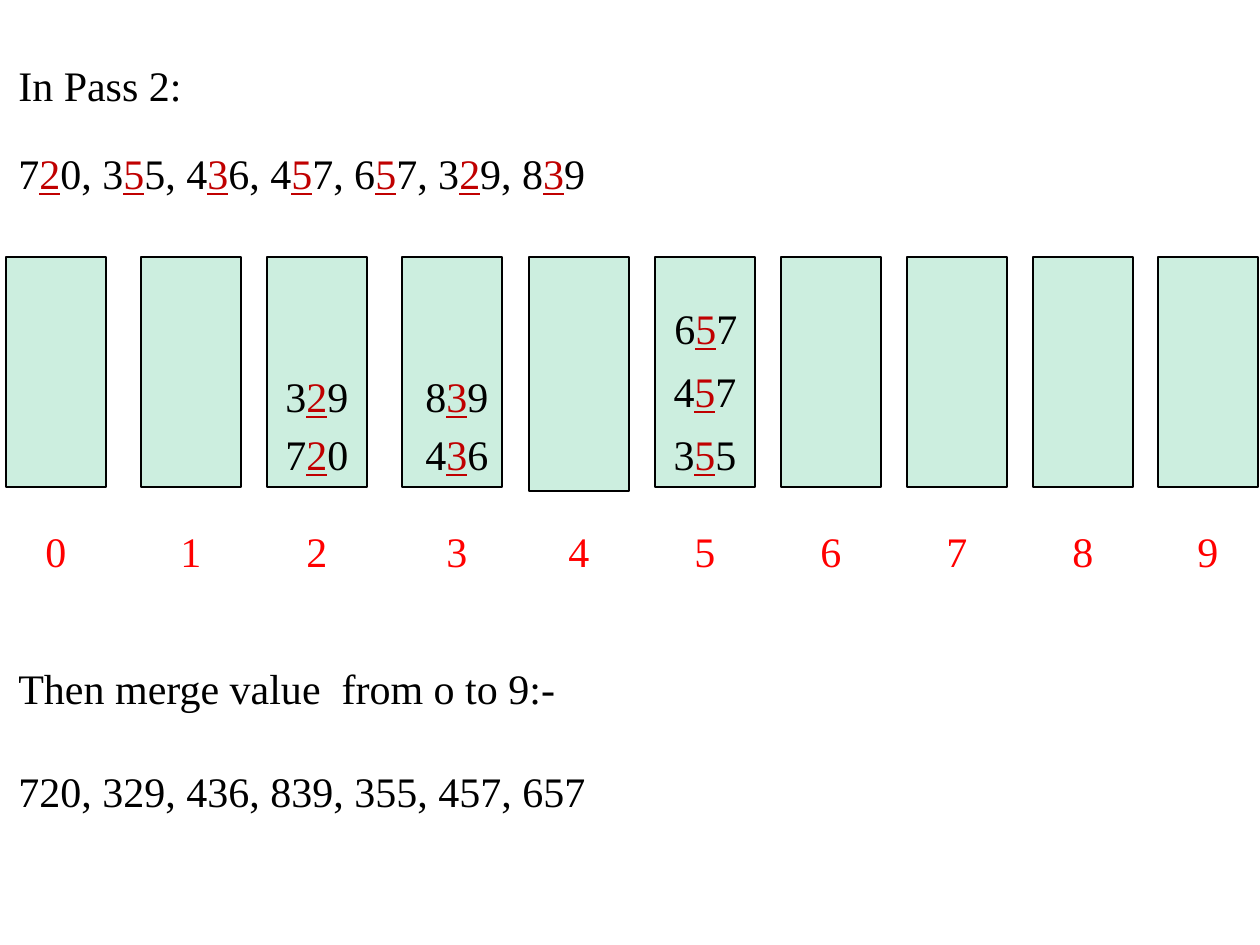
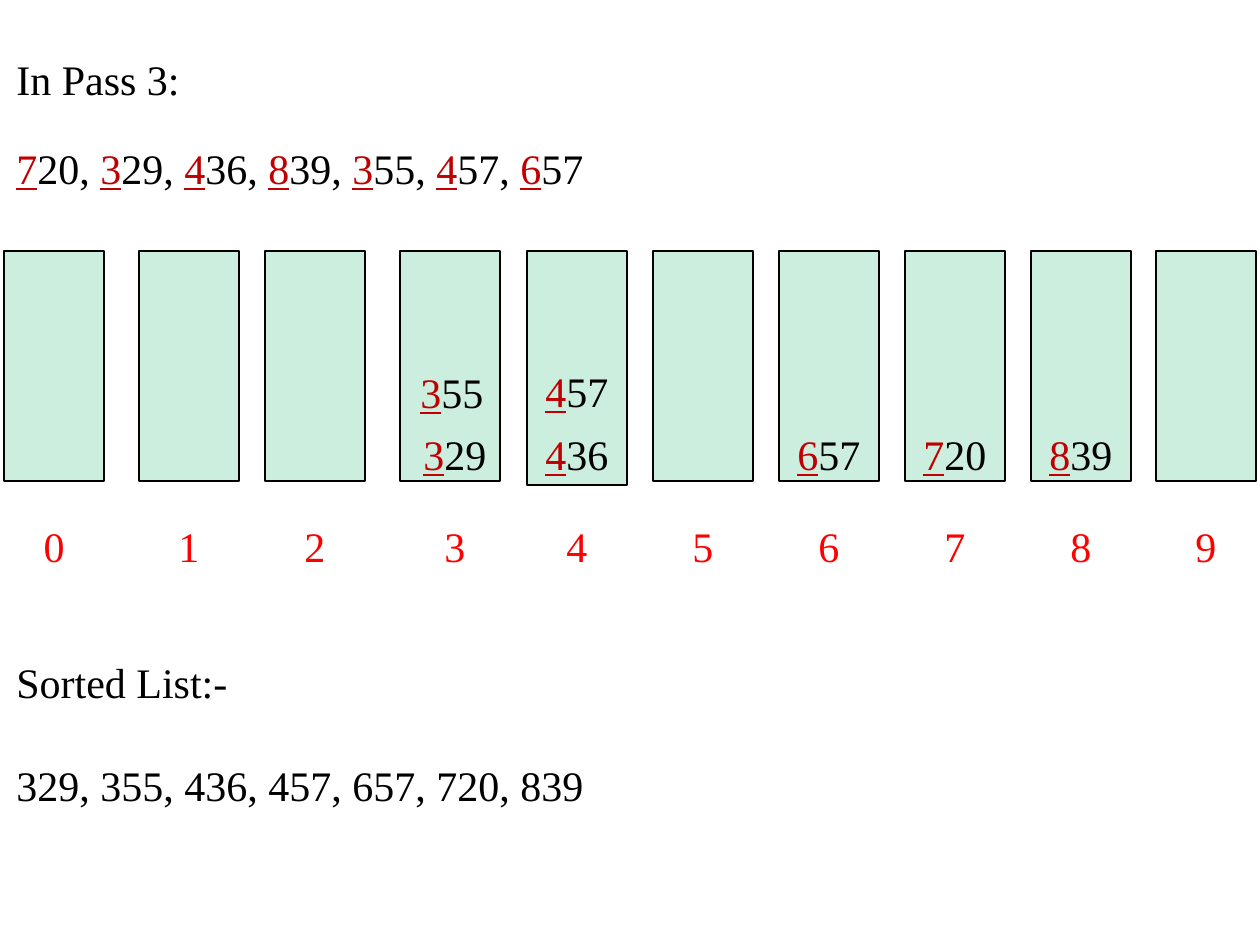
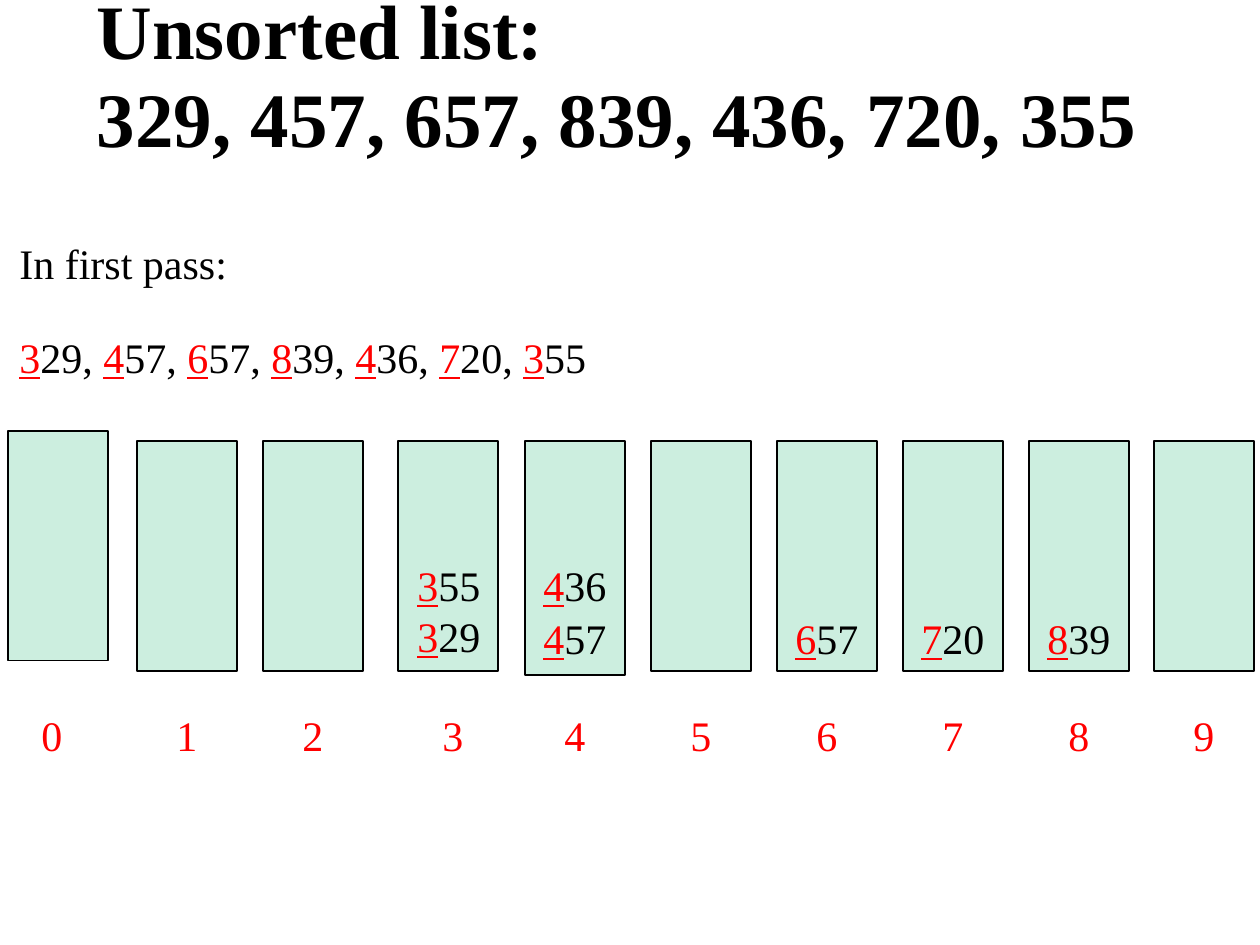
from itertools import groupby
from pptx import Presentation
from pptx.dml.color import RGBColor
from pptx.enum.shapes import MSO_SHAPE as Shape
from pptx.enum.text import MSO_ANCHOR as Anchor, MSO_AUTO_SIZE as Fit, PP_ALIGN as Align
from pptx.util import Emu, Pt

PX = 914400 // 126
FACE = "Times New Roman"
BLACK, RED, DARK, MINT = "000000", "FF0000", "C00000", "CCEEDF"
LEFTS = (6, 141, 267, 402, 529, 655, 781, 907, 1033, 1158)
WIDE, TALL, LINE = 100, 230, 64
STEP = len("000, ")  # a listed number with its comma and space


def tint(code):
    """Turn a hex string into a colour."""
    return RGBColor.from_string(code)


def write(slide, box, lines, align=Align.LEFT, color=BLACK, mark=None, hot=DARK):
    """Add a text box; underline digit number mark of every listed number."""
    frame = slide.shapes.add_textbox(*[Emu(n * PX) for n in box]).text_frame
    frame.word_wrap = True
    frame.auto_size = Fit.SHAPE_TO_FIT_TEXT
    for row, line in enumerate(lines):
        para = frame.add_paragraph() if row else frame.paragraphs[0]
        para.alignment = align
        if row:
            para.space_before = Pt(30)
        for lit, part in groupby(enumerate(line), lambda pair: pair[0] % STEP == mark):
            run = para.add_run()
            run.text = "".join(char for _, char in part)
            style = {"name": FACE, "size": Pt(24), "underline": lit or None}
            for key, value in style.items():
                setattr(run.font, key, value)
            run.font.color.rgb = tint(hot if lit else color)


# Items: number, bin, extra shift to the right, top
passes = [
    {"head": "In Pass 2:", "head_box": (6, 53, 672, LINE),
     "list": "720, 355, 436, 457, 657, 329, 839", "list_box": (6, 141, 848, LINE),
     "mark": 1, "hot": DARK, "shift": 0, "top": 257, "label": 519,
     "items": [("720", 2, 0, 422), ("329", 2, 0, 364),
               ("436", 3, 5, 422), ("839", 3, 5, 364),
               ("355", 5, 0, 422), ("457", 5, 0, 359), ("657", 5, 1, 296)],
     "end": ["Then merge value  from o to 9:-", "720, 329, 436, 839, 355, 457, 657"],
     "end_box": (6, 656, 874, 165)},
    {"head": "In Pass 3:", "head_box": (4, 47, 672, LINE),
     "list": "720, 329, 436, 839, 355, 457, 657", "list_box": (4, 136, 848, LINE),
     "mark": 0, "hot": DARK, "shift": -2, "top": 251, "label": 514,
     "items": [("329", 3, 5, 422), ("355", 3, 2, 360),
               ("436", 4, 0, 422), ("457", 4, 0, 359),
               ("657", 6, 0, 422), ("720", 7, 0, 422), ("839", 8, 0, 422)],
     "end": ["Sorted List:-", "329, 355, 436, 457, 657, 720, 839"],
     "end_box": (4, 650, 874, 165)},
    {"title": "Unsorted list:\v329, 457, 657, 839, 436, 720, 355",
     "head": "In first pass:", "head_box": (7, 231, 285, LINE),
     "list": "329, 457, 657, 839, 436, 720, 355", "list_box": (7, 325, 848, LINE),
     "mark": 0, "hot": RED, "shift": -4, "top": 441, "label": 703,
     "first": (8, 431),
     "items": [("329", 3, 1, 604), ("355", 3, 1, 553),
               ("457", 4, 0, 606), ("436", 4, 0, 553),
               ("657", 6, 0, 606), ("720", 7, 0, 606), ("839", 8, 0, 606)]},
]

deck = Presentation()
deck.slide_width, deck.slide_height = Emu(1260 * PX), Emu(945 * PX)

for data in passes:
    # Title, where the slide has one
    slide = deck.slides.add_slide(deck.slide_layouts[5 if "title" in data else 6])
    if "title" in data:
        title = slide.shapes.title
        place = {"left": 84, "top": 25, "width": 1154, "height": 192}
        for key, value in place.items():
            setattr(title, key, Emu(value * PX))
        frame = title.text_frame
        frame.text = data["title"]
        frame.vertical_anchor = Anchor.MIDDLE
        frame.margin_bottom = Emu(94 * PX)
        para = frame.paragraphs[0]
        para.alignment, para.line_spacing = Align.LEFT, 0.95
        for run in para.runs:
            for key, value in {"name": FACE, "size": Pt(44), "bold": True}.items():
                setattr(run.font, key, value)
            run.font.color.rgb = tint(BLACK)

    write(slide, data["head_box"], [data["head"]])
    write(slide, data["list_box"], [data["list"]], mark=data["mark"], hot=data["hot"])

    # Ten bins, each with its digit below
    for digit, base in enumerate(LEFTS):
        left, top = base + data["shift"], data["top"]
        nudge = 5 if digit == 3 else 0
        write(slide, (left + nudge, data["label"], WIDE, LINE), [str(digit)],
              Align.CENTER, RED)
        if digit == 0:
            left, top = data.get("first", (left, top))
        high = 234 if digit == 4 else TALL
        cell = slide.shapes.add_shape(
            Shape.RECTANGLE, *[Emu(n * PX) for n in (left, top, WIDE, high)])
        cell.shadow.inherit = False
        cell.fill.solid()
        cell.fill.fore_color.rgb = tint(MINT)
        cell.line.color.rgb = tint(BLACK)
        cell.line.width = Pt(0.75)

    # Numbers in the bins
    for number, digit, nudge, top in data["items"]:
        left = LEFTS[digit] + data["shift"] + nudge
        write(slide, (left, top, WIDE, LINE), [number], Align.CENTER,
              mark=data["mark"], hot=data["hot"])

    if "end" in data:
        write(slide, data["end_box"], data["end"])

deck.save("out.pptx")
